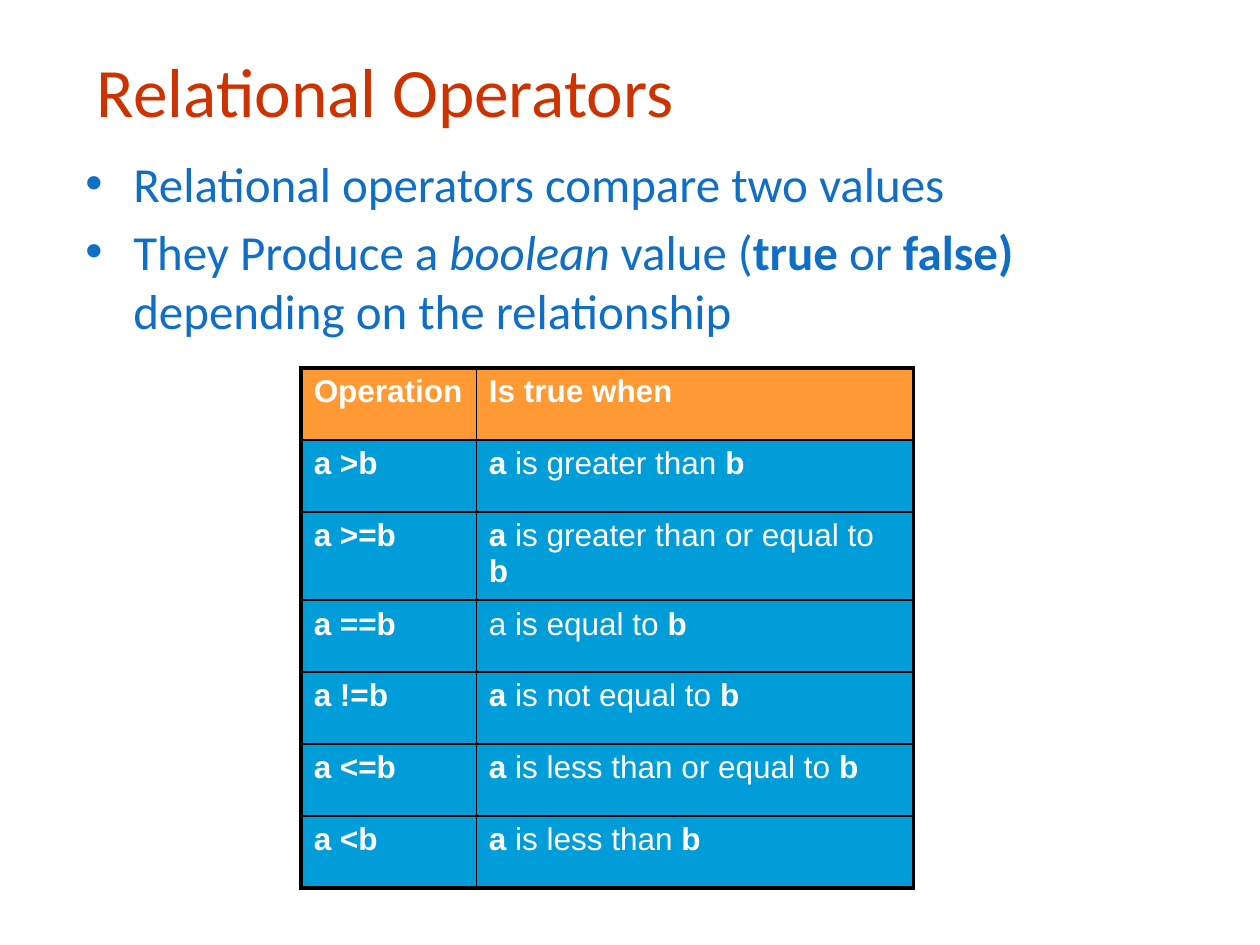
"""Build a slide that explains relational operators with bullets and a table."""
from typing import NamedTuple

from lxml.etree import SubElement
from pptx import Presentation
from pptx.dml.color import RGBColor
from pptx.enum.text import MSO_ANCHOR
from pptx.oxml.ns import qn
from pptx.util import Inches, Pt


class Run(NamedTuple):
    text: str
    bold: bool = False
    italic: bool = False


class Style(NamedTuple):
    font: str
    size: float
    color: str


class Row(NamedTuple):
    operation: str
    meaning: list[Run]
    fill: str = "009DD9"


TITLE = Style("Calibri", 39.6, "CC3300")
BODY = Style("Calibri", 28, "0F6FC6")
CELL = Style("Arial", 18, "FFFFFF")
THIN, THICK = 1, 2.25
A, B = Run("a ", True), Run("b", True)

BULLETS = [
    [Run("Relational operators compare two values")],
    [Run("They Produce a "), Run("boolean", italic=True), Run(" value ("),
     Run("true ", True), Run("or "), Run("false) ", True),
     Run("depending on the relationship")],
]
ROWS = [
    Row("Operation", [Run("Is true when", True)], "FF9933"),
    Row("a >b", [A, Run("is greater than "), B]),
    Row("a >=b", [A, Run("is greater than or equal to "), B]),
    Row("a ==b", [Run("a is equal to "), B]),
    Row("a !=b", [A, Run("is not equal to "), B]),
    Row("a <=b", [A, Run("is less than or equal to "), B]),
    Row("a <b", [A, Run("is less than "), B]),
]


def rgb(value: str) -> RGBColor:
    return RGBColor.from_string(value)


def add_runs(p, runs: list[Run], style: Style) -> None:
    for run in runs:
        r = p.add_run()
        r.text = run.text
        font = r.font
        font.name, font.size = style.font, Pt(style.size)
        font.bold, font.italic = run.bold, run.italic
        font.color.rgb = rgb(style.color)


def add_text_frame(s, left: float, top: float, width: float, height: float):
    tf = s.shapes.add_textbox(
        Inches(left), Inches(top), Inches(width), Inches(height)).text_frame
    tf.word_wrap = True
    return tf


def set_bullet(p) -> None:
    p.space_before = Pt(5)
    pPr = p._p.get_or_add_pPr()
    pPr.set("marL", str(Inches(0.38)))
    pPr.set("indent", str(Inches(-0.38)))
    SubElement(pPr, qn("a:buFont"), typeface="Arial")
    SubElement(pPr, qn("a:buChar"), char="•")


def set_borders(cell, widths: dict[str, float], color: str = "000000") -> None:
    tcPr = cell._tc.get_or_add_tcPr()
    for side, width in widths.items():
        ln = SubElement(tcPr, qn(f"a:ln{side}"), w=str(Pt(width)))
        fill = SubElement(ln, qn("a:solidFill"))
        SubElement(fill, qn("a:srgbClr"), val=color)


def add_operator_table(s, rows: list[Row]) -> None:
    table = s.shapes.add_table(
        len(rows), 2, Inches(2.39), Inches(2.92), Inches(4.86), Inches(4)).table
    table.first_row = table.horz_banding = False
    for column, width in zip(table.columns, (1.39, 3.47)):
        column.width = Inches(width)
    last = len(rows) - 1
    for i, row in enumerate(rows):
        for j, runs in enumerate(([Run(row.operation, True)], row.meaning)):
            cell = table.cell(i, j)
            if j == 0:
                cell.margin_right = Inches(0.05)
            set_borders(cell, {
                "L": THICK if j == 0 else THIN,
                "R": THICK if j == 1 else THIN,
                "T": THICK if i == 0 else THIN,
                "B": THICK if i == last else THIN,
            })
            cell.fill.solid()
            cell.fill.fore_color.rgb = rgb(row.fill)
            add_runs(cell.text_frame.paragraphs[0], runs, CELL)


def main() -> None:
    prs = Presentation()
    prs.slide_width, prs.slide_height = Inches(10), Inches(7.5)
    s = prs.slides.add_slide(prs.slide_layouts[6])

    tf = add_text_frame(s, 0.67, 0.39, 8.5, 0.65)
    tf.vertical_anchor = MSO_ANCHOR.MIDDLE
    add_runs(tf.paragraphs[0], [Run("Relational Operators")], TITLE)

    tf = add_text_frame(s, 0.58, 1.17, 8.5, 2.75)
    for i, runs in enumerate(BULLETS):
        p = tf.add_paragraph() if i else tf.paragraphs[0]
        set_bullet(p)
        add_runs(p, runs, BODY)

    add_operator_table(s, ROWS)
    prs.save("out.pptx")


if __name__ == "__main__":
    main()
